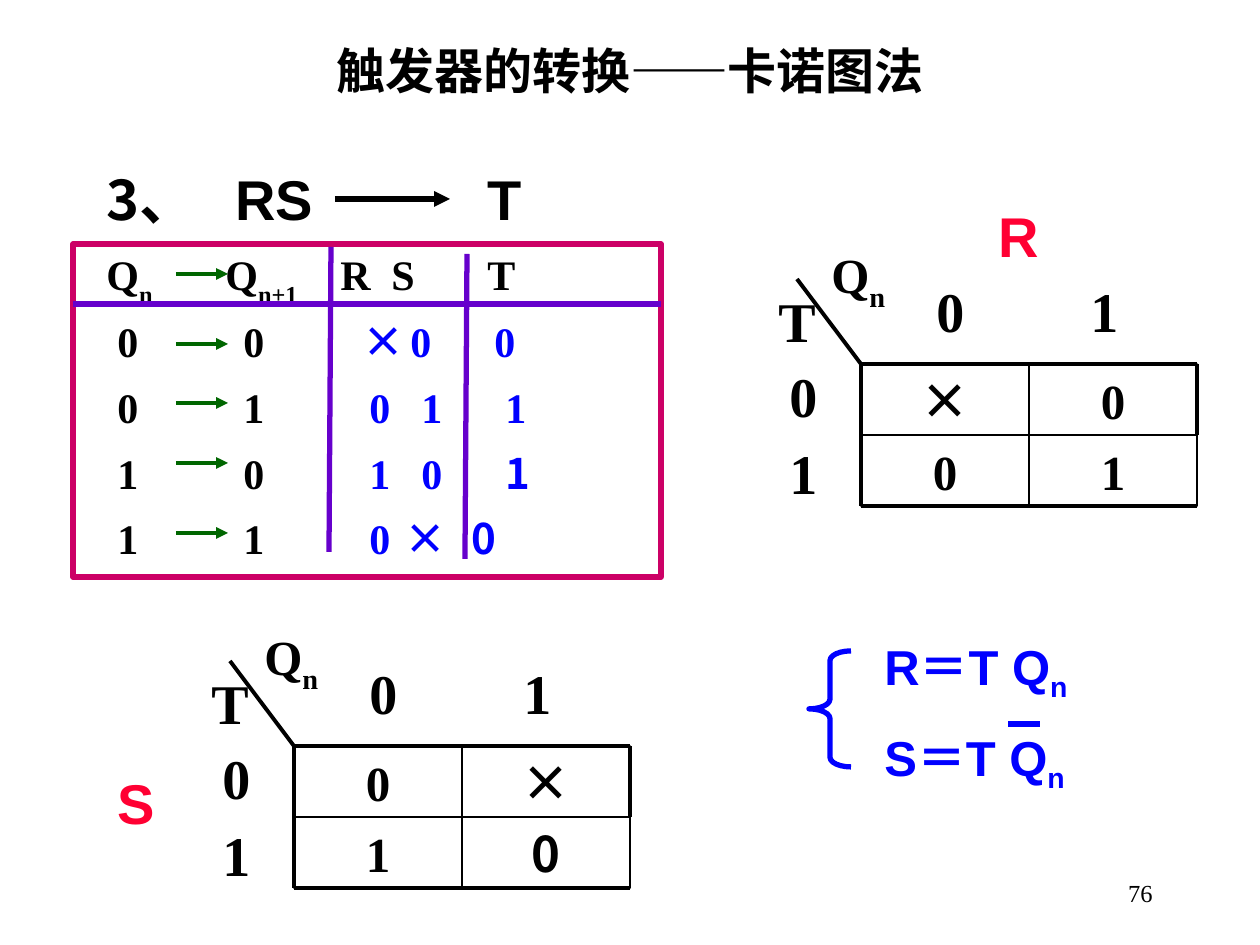
"""Build the slide on converting an RS flip-flop to T with Karnaugh maps."""
import pptx
import pptx.util
import pptx.dml.color
import pptx.enum.shapes
import pptx.enum.text
import pptx.oxml
import pptx.oxml.ns

PX = 914400 / 126
ROMAN, SANS, HAN = "Times New Roman", "Arial", "Noto Sans CJK SC"
BLACK, BLUE, RED, WHITE = "000000", "0000FF", "FF0033", "FFFFFF"
PURPLE, GREEN, PINK = "6600CC", "006600", "CC0066"
kind = pptx.enum.shapes.MSO_SHAPE
side = pptx.enum.text.PP_ALIGN
mid = pptx.enum.text.MSO_ANCHOR.MIDDLE
top = pptx.enum.text.MSO_ANCHOR.TOP
hue = pptx.dml.color.RGBColor.from_string
qn = pptx.oxml.ns.qn

deck = pptx.Presentation()
deck.slide_width, deck.slide_height = pptx.util.Inches(10), pptx.util.Inches(7.5)
slide = deck.slides.add_slide(deck.slide_layouts[5])


def line(x1, y1, x2, y2, tint, width, arrow=False):
    """Draw a straight line, with an arrowhead at its end if asked."""
    ends = [round(v * PX) for v in (x1, y1, x2, y2)]
    link = slide.shapes.add_connector(pptx.enum.shapes.MSO_CONNECTOR.STRAIGHT, *ends)
    link.line.color.rgb = hue(tint)
    link.line.width = pptx.util.Pt(width)
    if arrow:
        link.line._get_or_add_ln().makeelement
        pptx.oxml.ns.qn
        tip = link.line._get_or_add_ln()
        tip.append(tip.makeelement(qn("a:tailEnd"), {"type": "triangle"}))
    props = link._element.spPr
    props.append(props.makeelement(qn("a:effectLst"), {}))


def write(shape, box, rows, size, font, tint=BLACK, bold=True, align=side.LEFT,
          anchor=top, gap=0, lead=None, stops=()):
    """Place a shape and fill it with rows of (text, font, colour, baseline) runs."""
    shape.left, shape.top, shape.width, shape.height = [round(v * PX) for v in box]
    frame = shape.text_frame
    frame.word_wrap = True
    frame.vertical_anchor = anchor
    for i, row in enumerate(rows):
        para = frame.paragraphs[0] if i == 0 else frame.add_paragraph()
        para.alignment = align
        para.line_spacing = lead
        para.space_before = pptx.util.Pt(gap if i else 0)
        para.font.size = pptx.util.Pt(size)
        para.font.bold = bold
        para.font.color.rgb = hue(tint)
        para.font.name = font
        if stops:
            base = para._p.pPr.find(qn("a:defRPr"))
            tabs = base.makeelement(qn("a:tabLst"), {})
            for stop in stops[i]:
                pos = str(round(stop * PX))
                tabs.append(tabs.makeelement(qn("a:tab"), {"pos": pos, "algn": "l"}))
            base.addprevious(tabs)
        for part in row:
            text, face, shade, shift = (*part, None, None, None)[:4]
            run = para.add_run()
            run.text = text
            if shade:
                run.font.color.rgb = hue(shade)
            if face:
                run.font.name = face
            mark = run._r.get_or_add_rPr()
            mark.append(mark.makeelement(qn("a:ea"), {"typeface": HAN}))
            if shift:
                mark.set("baseline", str(shift * 1000))


add = slide.shapes.add_shape
note = slide.shapes.add_textbox
SUB = ("n", None, None, -30)

write(slide.shapes.title, (0, 34, 1260, 72), [[("触发器的转换——卡诺图法",)]], 28, SANS,
      align=side.CENTER)
write(note(0, 0, 0, 0), (94, 158, 494, 79), [[("3、", HAN), ("\tRS\tT",)]], 32, SANS,
      stops=[(129, 381)])
line(335, 199, 450, 199, BLACK, 3, True)

frame = add(kind.RECTANGLE, 0, 0, 0, 0)
frame.shadow.inherit = False
frame.fill.solid()
frame.fill.fore_color.rgb = hue(WHITE)
frame.line.color.rgb = hue(PINK)
frame.line.width = pptx.util.Pt(3)
states = [
    [("\tQ",), SUB, ("\tQ",), ("n+1", None, None, -30), ("\tR\tS\tT",)],
    [("\t0\t0",), ("\t×", HAN, BLUE), ("\t0\t0", None, BLUE)],
    [("\t0\t1",), ("\t0\t1\t1", None, BLUE)],
    [("\t1\t0",), ("\t1\t0", None, BLUE), ("\t1", HAN, BLUE)],
    [("\t1\t1",), ("\t0", None, BLUE), ("\t×\t0", HAN, BLUE)],
]
stops = [(21, 140, 255, 306, 402), (32, 158, 277, 325, 409), (32, 158, 284, 336, 420),
         (32, 158, 284, 336, 420), (32, 158, 284, 319, 386)]
write(frame, (73, 244, 588, 333), states, 24, ROMAN, gap=13, lead=0.85, stops=stops)
line(331, 247, 329, 552, PURPLE, 3)
line(73, 304, 661, 304, PURPLE, 3)
line(467, 254, 465, 559, PURPLE, 3)
for y in (274, 344, 403, 463, 533):
    line(176, y, 228, y, GREEN, 2.25, True)

W, H = 168, 71
maps = [
    (861, 364, [[("×", HAN), ("0",)], [("0",), ("1",)]]),
    (294, 746, [[("0",), ("×", HAN)], [("1",), ("0", HAN)]]),
]
for x, y, grid in maps:
    for r, row in enumerate(grid):
        for c, run in enumerate(row):
            cell = add(kind.RECTANGLE, 0, 0, 0, 0)
            cell.shadow.inherit = False
            cell.fill.background()
            cell.line.color.rgb = hue(BLACK)
            cell.line.width = pptx.util.Pt(1)
            write(cell, (x + c * W, y + r * H, W, H), [[run]], 28, ROMAN,
                  align=side.CENTER)
    for x1, y1, x2, y2, width in [
        (0, 0, 2 * W, 0, 2.25), (0, H, 2 * W, H, 1), (0, 2 * H, 2 * W, 2 * H, 2.25),
        (0, 0, 0, 2 * H, 2.25), (W, 0, W, 2 * H, 1), (2 * W, H, 2 * W, 2 * H, 1),
        (2 * W, 0, 2 * W, H, 2.25), (-64, -85, 0, 0, 2.25),
    ]:
        line(x + x1, y + y1, x + x2, y + y2, BLACK, width)
    write(note(0, 0, 0, 0), (x + 63, y - 94, 252, 79), [[("0\t1",)]], 32, ROMAN,
          stops=[(154,)])
    write(note(0, 0, 0, 0), (x - 84, y + 10, 84, 140), [[("0",)], [("1",)]], 32, ROMAN,
          gap=17, lead=0.7)
    write(note(0, 0, 0, 0), (x - 95, y - 84, 84, 79), [[("T",)]], 32, ROMAN)
    write(note(0, 0, 0, 0), (x - 42, y - 126, 84, 72), [[("Q",), SUB]], 28, ROMAN)

low = ("n", None, None, -25)
write(note(0, 0, 0, 0), (872, 630, 294, 160), [[("R＝T Q",), low], [("S＝T Q",), low]],
      28, SANS, BLUE, gap=14)
brace = add(kind.LEFT_BRACE, *[round(v * PX) for v in (809, 651, 42, 116)])
brace.adjustments[0] = 0.23
brace.shadow.inherit = False
brace.fill.background()
brace.line.color.rgb = hue(BLUE)
brace.line.width = pptx.util.Pt(3)
line(1008, 724, 1040, 724, BLUE, 3)

for name, x, y in (("R", 966, 199), ("S", 84, 766)):
    disc = add(kind.OVAL, 0, 0, 0, 0)
    disc.shadow.inherit = False
    disc.fill.solid()
    disc.fill.fore_color.rgb = hue(WHITE)
    disc.line.color.rgb = hue(WHITE)
    write(disc, (x, y, 105, 73), [[(name,)]], 32, SANS, RED, align=side.CENTER, anchor=mid)
    disc.text_frame.word_wrap = False

write(note(0, 0, 0, 0), (903, 861, 262, 63), [[("76",)]], 14, ROMAN, bold=False,
      align=side.RIGHT, anchor=mid)
deck.save("out.pptx")
